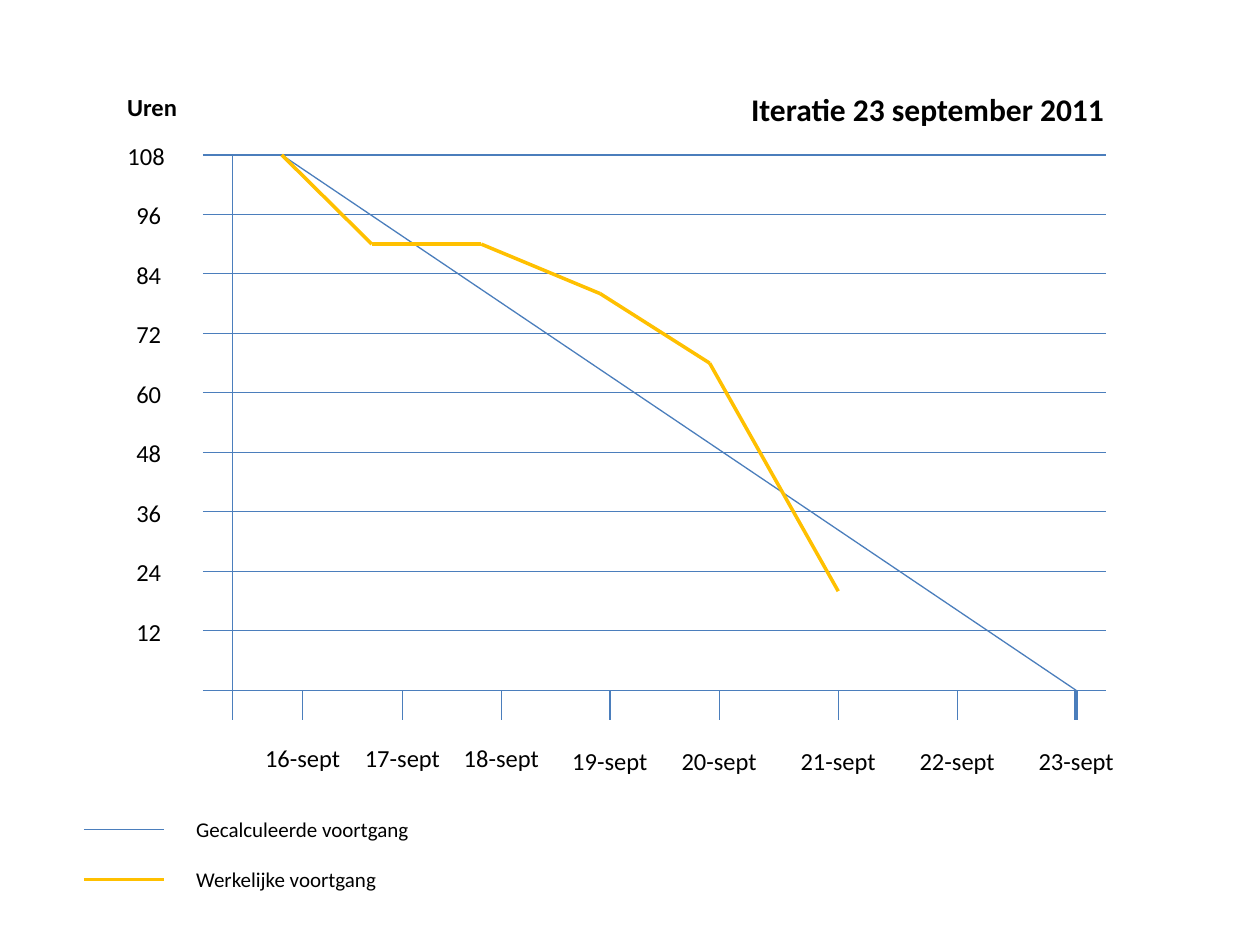
from lxml import etree
from pptx import Presentation
from pptx.dml.color import RGBColor
from pptx.enum import shapes, text
from pptx.oxml.ns import qn
from pptx.util import Pt

BLUE = RGBColor(0x4B, 0x7E, 0xBC)
YELLOW = RGBColor(0xFF, 0xC0, 0x00)
BLACK = RGBColor(0, 0, 0)
FONT = "Calibri"
THIN, THICK = 0.75, 2

MAX_HOURS, HOUR_STEP = 108, 12
FIRST_DAY = 16
# Distances from the left edge of the plot
DAY_OFFSETS = [57, 114, 170.5, 232.5, 295, 363, 431, 499]
PLANNED = [(45, 108), (499, 0)]
ACTUAL = [(45, 108), (96.5, 90), (159, 90), (227, 80), (289.5, 66), (363, 20)]
LEGEND = [("Gecalculeerde voortgang", BLUE, THIN), ("Werkelijke voortgang", YELLOW, THICK)]


def add_line(slide, start, end, color=BLUE, width=THIN):
    line = slide.shapes.add_connector(
        shapes.MSO_CONNECTOR.STRAIGHT, *(Pt(value) for value in (*start, *end)))
    line.line.color.rgb = color
    line.line.width = Pt(width)
    etree.SubElement(line._element.spPr, qn("a:effectLst"))


def format_text(shape, content, size, bold=False, align=text.PP_ALIGN.LEFT):
    frame = shape.text_frame
    frame.text = content
    frame.word_wrap = False
    frame.auto_size = text.MSO_AUTO_SIZE.NONE
    frame.vertical_anchor = text.MSO_ANCHOR.TOP
    paragraph = frame.paragraphs[0]
    paragraph.alignment = align
    font = paragraph.runs[0].font
    font.name, font.size, font.bold = FONT, Pt(size), bold
    font.color.rgb = BLACK


def add_label(slide, content, left, top, width, height=24.5, size=14, **style):
    box = slide.shapes.add_textbox(Pt(left), Pt(top), Pt(width), Pt(height))
    format_text(box, content, size, **style)


def add_title(slide, left, top, width, height):
    title = slide.shapes.title
    title.left, title.top, title.width, title.height = map(Pt, (left, top, width, height))
    format_text(title, "Iteratie 23 september 2011", 18, bold=True)


def add_burndown(slide, left, top, width, height):
    bottom = top + height
    centered = text.PP_ALIGN.CENTER

    def y_of(hours):
        return bottom - height * hours / MAX_HOURS

    def add_series(points, color, line_width):
        placed = [(left + x, y_of(hours)) for x, hours in points]
        for start, end in zip(placed, placed[1:]):
            add_line(slide, start, end, color, line_width)

    add_line(slide, (left + 17, top), (left + 17, bottom + 17))
    add_label(slide, "Uren", left - 50.5, top - 39.5, 43, bold=True)
    for hours in range(0, MAX_HOURS + 1, HOUR_STEP):
        y = y_of(hours)
        add_line(slide, (left, y), (left + width, y))
        if hours:
            center = left - (32.5 if hours == MAX_HOURS else 31)
            add_label(slide, str(hours), center - 18, y - 11.5, 36, align=centered)

    for index, offset in enumerate(DAY_OFFSETS):
        x = left + offset
        last = index == len(DAY_OFFSETS) - 1
        add_line(slide, (x, bottom), (x, bottom + 17), width=THICK if last else THIN)
        label_top = bottom + (26.5 if index < 3 else 28.5)
        add_label(slide, f"{FIRST_DAY + index}-sept", x - 29, label_top, 58, align=centered)

    add_series(PLANNED, BLUE, THIN)
    add_series(ACTUAL, YELLOW, THICK)


def add_legend(slide, left, top, row_height):
    for row, (name, color, line_width) in enumerate(LEGEND):
        y = top + row * row_height
        add_line(slide, (left, y + 11), (left + 45.5, y + 11), color, line_width)
        add_label(slide, name, left + 57, y, 137, 21.5, size=12)


def main():
    presentation = Presentation()
    presentation.slide_width, presentation.slide_height = Pt(720), Pt(540)
    slide = presentation.slides.add_slide(presentation.slide_layouts.get_by_name("Title Only"))
    add_title(slide, 422, 48, 218, 29)
    add_burndown(slide, 116, 88.5, 516, 306)
    add_legend(slide, 48, 463, 28.5)
    presentation.save("out.pptx")


if __name__ == "__main__":
    main()
